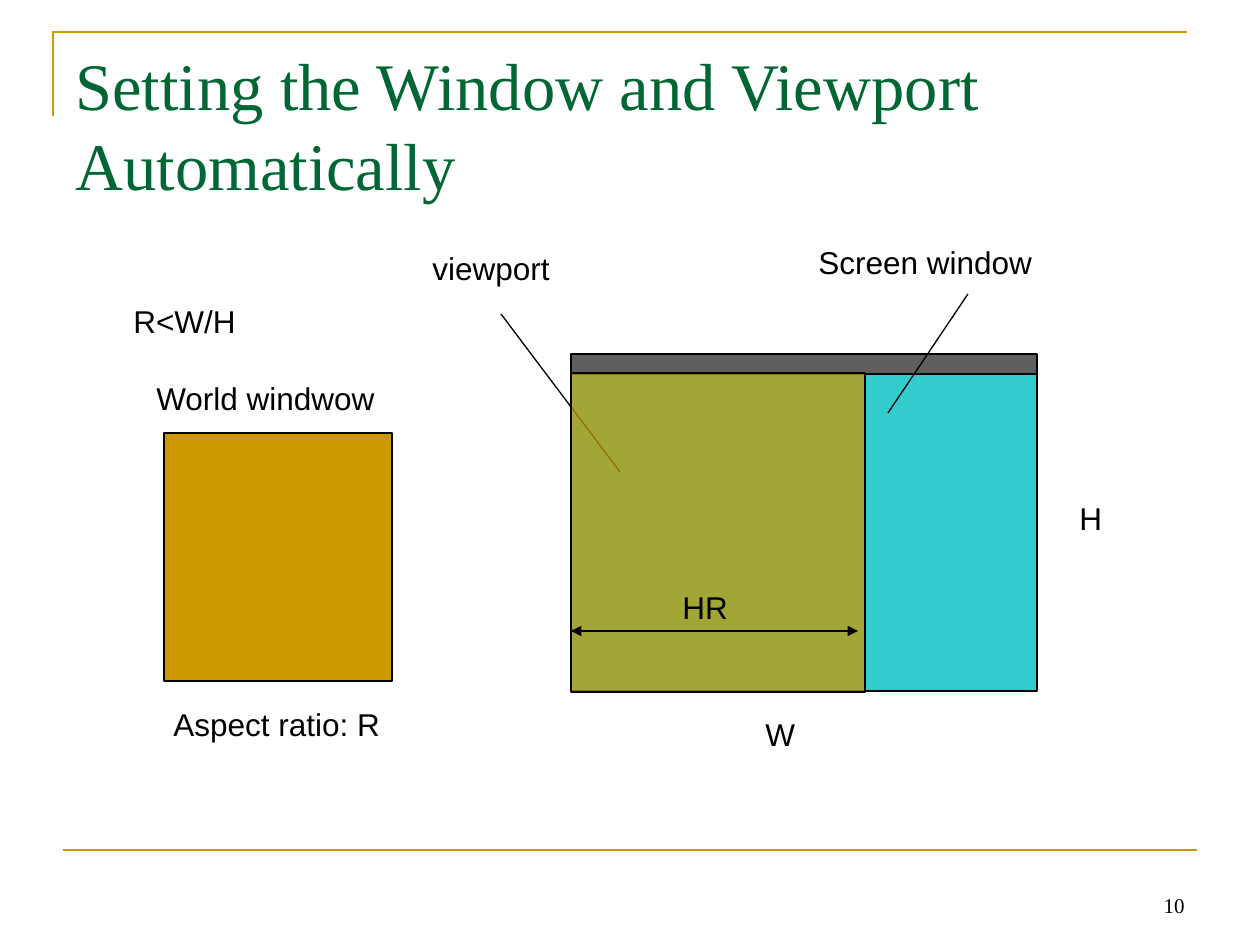
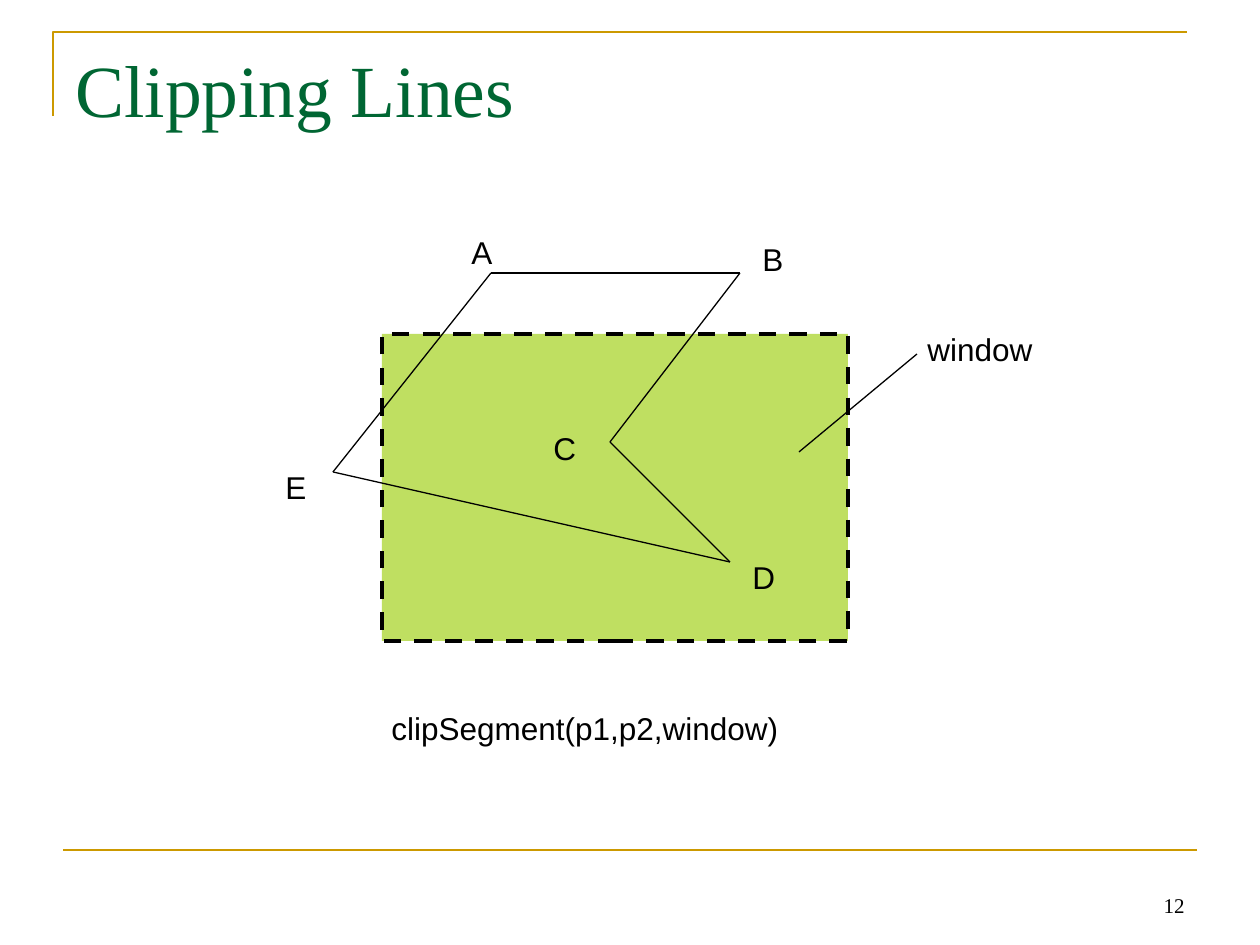
from lxml import etree
from pptx import Presentation
from pptx import util as u
from pptx.dml.color import RGBColor
from pptx.enum import dml, shapes, text
from pptx.oxml.ns import qn

EMU_PER_PX = 914400 / 126
GOLD, GREEN, BLACK = "CC9900", "006633", "000000"
TEAL, GREY, LIME = "33CCCC", "5F5F5F", "99CC00"
SERIF, SANS = "Times New Roman", "Arial"
LABEL_SLACK = 8


def px(n):
    """Turn pixels into EMU."""
    return u.Emu(round(n * EMU_PER_PX))


def rgb(color):
    """Turn a hex string into a colour."""
    return RGBColor.from_string(color)


def set_line(sp, color, width):
    """Colour and size the line of a shape or connector."""
    sp.line.color.rgb = rgb(color)
    sp.line.width = u.Pt(width)


def add_text(s, content, x, y, w, h, size, font, color=BLACK):
    """Add a text box with one run and return its frame."""
    tf = s.shapes.add_textbox(px(x), px(y), px(w), px(h)).text_frame
    tf.word_wrap = True
    r = tf.paragraphs[0].add_run()
    r.text = content
    r.font.size = u.Pt(size)
    r.font.name = font
    r.font.color.rgb = rgb(color)
    return tf


def add_label(s, content, x, y, w):
    """Add a diagram label with enough room to stay on one line."""
    add_text(s, content, x, y, w + LABEL_SLACK, 50, 18, SANS)


def add_box(s, x, y, w, h, fill, opacity=100, line_width=0.75, dash=None):
    """Add an outlined rectangle, translucent if opacity is below 100."""
    sp = s.shapes.add_shape(shapes.MSO_SHAPE.RECTANGLE, px(x), px(y), px(w), px(h))
    sp.shadow.inherit = False
    sp.fill.solid()
    sp.fill.fore_color.rgb = rgb(fill)
    set_line(sp, BLACK, line_width)
    if dash:
        sp.line.dash_style = dash
    if opacity < 100:
        clr = sp._element.spPr.find(qn("a:solidFill")).find(qn("a:srgbClr"))
        etree.SubElement(clr, qn("a:alpha"), val=str(opacity * 1000))


def add_line(s, start, end, color=BLACK, width=0.75, arrows=False):
    """Add a straight line, with arrowheads at both ends on request."""
    points = [px(n) for n in (*start, *end)]
    sp = s.shapes.add_connector(shapes.MSO_CONNECTOR.STRAIGHT, *points)
    set_line(sp, color, width)
    if arrows:
        ln = sp._element.spPr.find(qn("a:ln"))
        for tag in ("a:headEnd", "a:tailEnd"):
            etree.SubElement(ln, qn(tag), type="triangle")
    etree.SubElement(sp._element.spPr, qn("a:effectLst"))


def add_slide(prs, title, title_size, number):
    """Add a slide with the shared rules, title and number."""
    s = prs.slides.add_slide(prs.slide_layouts[6])
    builder = s.shapes.build_freeform(53, 116, scale=EMU_PER_PX)
    builder.add_line_segments([(53, 32), (1187, 32)], close=False)
    corner = builder.convert_to_shape()
    corner.shadow.inherit = False
    corner.fill.background()
    set_line(corner, GOLD, 1.5)
    add_line(s, (63, 850), (1197, 850), GOLD, 1.5)
    add_text(s, title, 63, 38, 1134, 158, title_size, SERIF, GREEN)
    tf = add_text(s, str(number), 903, 861, 294, 63, 12, SERIF)
    tf.vertical_anchor = text.MSO_ANCHOR.BOTTOM
    tf.paragraphs[0].alignment = text.PP_ALIGN.RIGHT
    return s


def build_viewport_slide(prs):
    """Draw the world window beside the viewport in its screen window."""
    s = add_slide(prs, "Setting the Window and Viewport Automatically", 38, 10)
    left, top, width = 571, 373, 466
    add_box(s, 164, 433, 228, 248, GOLD)
    add_box(s, left, top, width, 318, TEAL)
    add_box(s, left, top - 19, width, 20, GREY)
    add_line(s, (620, 472), (501, 314))
    add_line(s, (888, 413), (968, 294))
    add_box(s, left, top, 294, 319, GOLD, opacity=73)
    add_line(s, (left, 631), (858, 631), arrows=True)
    for label in (
        ("R<W/H", 121, 296, 127),
        ("World windwow", 144, 373, 243),
        ("Aspect ratio: R", 161, 699, 232),
        ("W", 753, 709, 54),
        ("H", 1067, 493, 48),
        ("viewport", 420, 243, 142),
        ("Screen window", 806, 237, 238),
        ("HR", 670, 582, 71),
    ):
        add_label(s, *label)


def build_clipping_slide(prs):
    """Draw a polygon crossing the dashed clipping window."""
    s = add_slide(prs, "Clipping Lines", 42, 12)
    add_box(s, 382, 334, 466, 307, LIME, 62, 2.5, dml.MSO_LINE.DASH)
    vertices = {"A": (491, 273), "B": (740, 273), "C": (610, 442),
                "D": (730, 562), "E": (333, 472)}
    for start, end in ("AB", "BC", "CD", "DE", "EA"):
        add_line(s, vertices[start], vertices[end])
    add_line(s, (799, 452), (917, 354))
    for label in (
        ("A", 459, 227, 45),
        ("B", 750, 234, 45),
        ("C", 541, 423, 48),
        ("D", 740, 552, 48),
        ("E", 273, 462, 45),
        ("clipSegment(p1,p2,window)", 379, 703, 412),
        ("window", 915, 324, 130),
    ):
        add_label(s, *label)


def main():
    """Build and save the presentation."""
    prs = Presentation()
    prs.slide_width, prs.slide_height = px(1260), px(945)
    build_viewport_slide(prs)
    build_clipping_slide(prs)
    prs.save("out.pptx")


if __name__ == "__main__":
    main()
